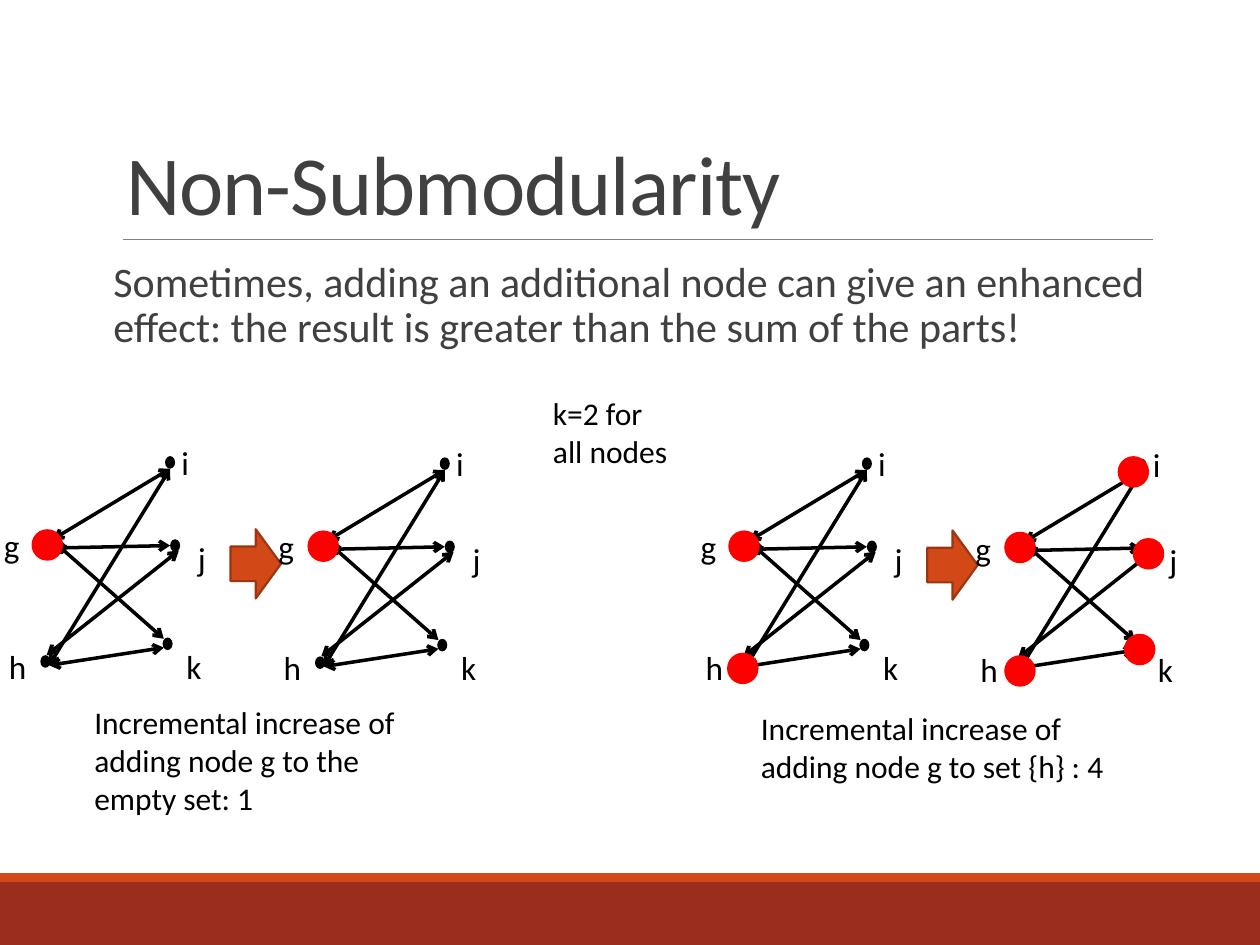
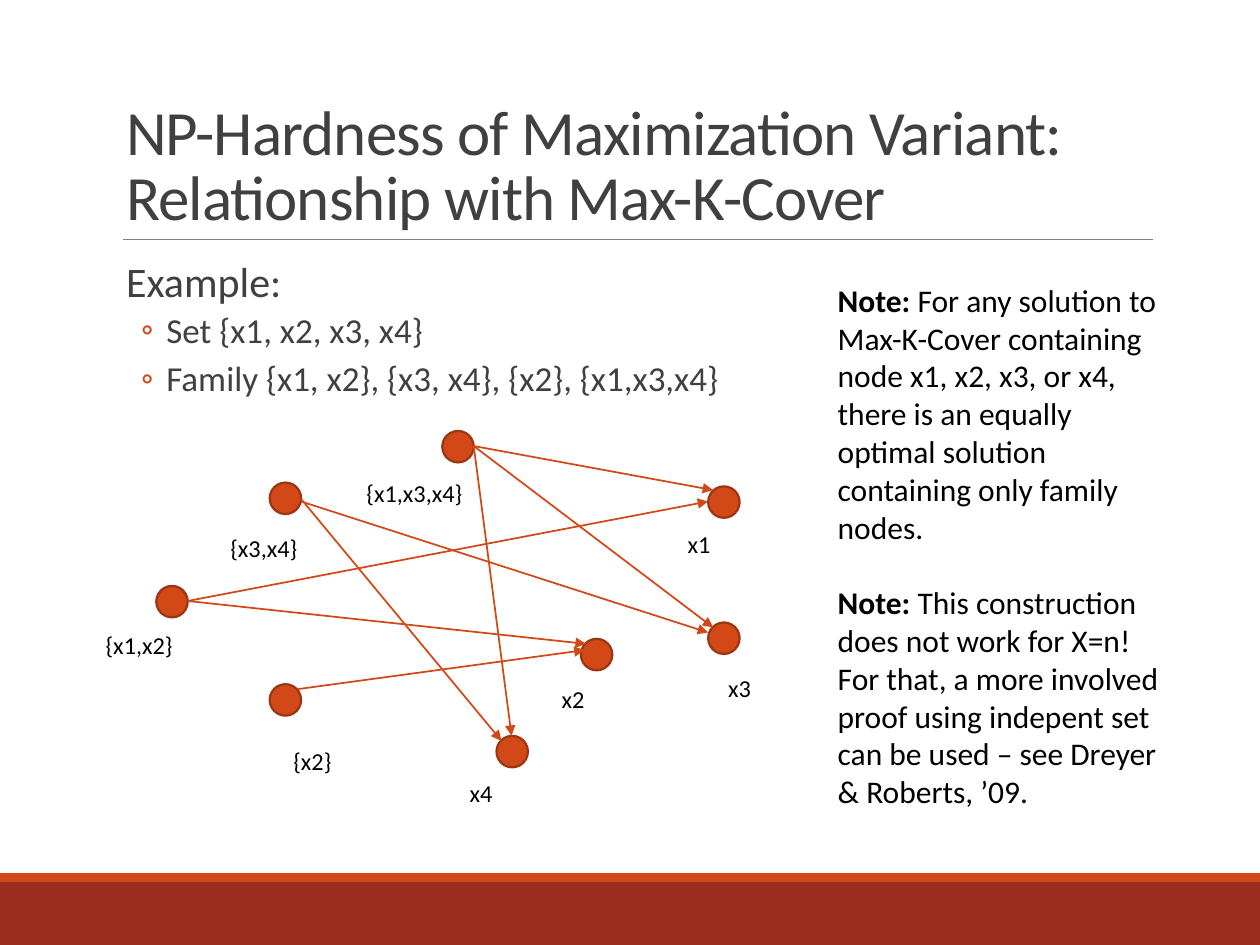
import pptx
import pptx.util
import pptx.dml.color
import pptx.enum.shapes
import pptx.enum.text
import pptx.oxml.ns
import lxml.etree

Inches = pptx.util.Inches
Pt = pptx.util.Pt
RGBColor = pptx.dml.color.RGBColor
Shape = pptx.enum.shapes.MSO_SHAPE

FONT = "Calibri"
BRICK = RGBColor(0x9B, 0x2D, 0x1F)
ORANGE = RGBColor(0xD3, 0x48, 0x17)
ORANGE_EDGE = RGBColor(0x9C, 0x35, 0x11)
GRAY = RGBColor(0x80, 0x80, 0x80)
DARK = RGBColor(0x40, 0x40, 0x40)
BLACK = RGBColor(0, 0, 0)
RED = RGBColor(0xFF, 0, 0)
NODE = 0.25

GRAPH_ORIGINS = [(0, 0), (2.18, 0.01), (5.53, 0.01), (7.71, 0.02)]
GRAPH_DOTS = [(0.35, 4.26), (1.31, 3.62), (1.35, 4.28), (0.32, 5.2), (1.29, 5.06)]
GRAPH_EDGES = [
    ((1.35, 3.72), (0.42, 4.28)),
    ((1.35, 4.33), (0.42, 4.35)),
    ((0.37, 5.2), (1.42, 4.37)),
    ((0.39, 5.28), (1.35, 3.72)),
    ((1.3, 5.07), (0.44, 4.31)),
    ((1.3, 5.14), (0.39, 5.28)),
]
GRAPH_LABELS = [
    ("g", -0.12, 4.1),
    ("h", -0.08, 5.06),
    ("j", 1.42, 4.2),
    ("i", 1.29, 3.44),
    ("k", 1.33, 5.06),
]
ACTIVE_NODES = [
    (0.25, 4.2), (2.44, 4.21), (5.78, 4.21), (7.97, 4.22), (5.77, 5.18),
    (7.97, 5.2), (8.87, 3.62), (8.99, 4.27), (8.92, 5.03),
]

COVER_NODES = [
    ("{x1,x2}", (0.74, 4.73), (1.24, 4.65)),
    ("{x3,x4}", (1.73, 3.96), (2.14, 3.83)),
    ("{x1,x3,x4}", (2.81, 3.52), (3.51, 3.42)),
    ("{x2}", (2.23, 5.65), (2.14, 5.43)),
    ("x1", (5.36, 3.93), (5.62, 3.86)),
    ("x3", (5.68, 5.07), (5.62, 4.94)),
    ("x2", (4.36, 5.16), (4.61, 5.07)),
    ("x4", (3.63, 5.9), (3.94, 5.84)),
]
COVER_EDGES = [
    ((2.39, 3.98), (5.62, 5.02)),
    ((2.39, 3.96), (3.98, 5.88)),
    ((2.36, 5.47), (4.64, 5.16)),
    ((1.49, 4.77), (4.65, 5.11)),
    ((1.49, 4.77), (5.62, 3.98)),
    ((3.76, 3.54), (5.66, 3.89)),
    ((3.76, 3.54), (5.66, 4.98)),
    ((3.76, 3.54), (4.06, 5.84)),
]


def add_element(parent, tag, **attributes):
    return lxml.etree.SubElement(parent, pptx.oxml.ns.qn(tag), **attributes)


class Deck:
    def __init__(self):
        self.presentation = pptx.Presentation()
        self.presentation.slide_width = Inches(10)
        self.presentation.slide_height = Inches(7.5)

    def new_slide(self, title, size):
        self.slide = self.presentation.slides.add_slide(self.presentation.slide_layouts[1])
        self.shapes = self.slide.shapes
        self.shape(Shape.RECTANGLE, 0, 7, 10, 0.5, BRICK)
        self.shape(Shape.RECTANGLE, 0, 6.93, 10, 0.07, ORANGE)
        self.line((0.98, 1.9), (9.15, 1.9), GRAY, 0.5)
        placeholder = self.slide.shapes.title
        self.place(placeholder, 0.9, 0.31, 8.25, 1.59)
        frame = placeholder.text_frame
        frame.text = title
        frame.vertical_anchor = pptx.enum.text.MSO_ANCHOR.BOTTOM
        paragraph = frame.paragraphs[0]
        paragraph.alignment = pptx.enum.text.PP_ALIGN.LEFT
        paragraph.line_spacing = 0.85
        self.style(paragraph, size, DARK)
        for run in paragraph.runs:
            run._r.get_or_add_rPr().set("spc", "-50")

    def place(self, placeholder, left, top, width, height):
        placeholder.left, placeholder.top = Inches(left), Inches(top)
        placeholder.width, placeholder.height = Inches(width), Inches(height)
        placeholder.text_frame.word_wrap = True
        placeholder.text_frame.auto_size = pptx.enum.text.MSO_AUTO_SIZE.NONE

    def style(self, paragraph, size, color):
        for run in paragraph.runs:
            run.font.name = FONT
            run.font.size = Pt(size)
            run.font.color.rgb = color

    def body(self, items):
        placeholder = self.slide.placeholders[1]
        self.place(placeholder, 0.9, 2.02, 8.25, 4.4)
        frame = placeholder.text_frame
        frame.margin_left = frame.margin_right = 0
        frame.text = "\n".join(text for text, *_ in items)
        for paragraph, (_, level, bullet, size) in zip(frame.paragraphs, items):
            paragraph.level = level
            margin, indent = {"": (0, 0), " ": (0.1, -0.1), "◦": (0.42, -0.2)}[bullet]
            properties = paragraph._p.get_or_add_pPr()
            properties.set("marL", str(Inches(margin)))
            properties.set("indent", str(Inches(indent)))
            if bullet:
                color = add_element(properties, "a:buClr")
                add_element(color, "a:srgbClr", val=str(ORANGE))
                add_element(properties, "a:buFont", typeface=FONT)
                add_element(properties, "a:buChar", char=bullet)
            else:
                add_element(properties, "a:buNone")
            paragraph.line_spacing = 0.9
            paragraph.space_before = Pt(2 if level else 0)
            paragraph.space_after = Pt(4 if level else 2)
            self.style(paragraph, size, DARK)

    def shape(self, kind, left, top, width, height, fill, edge=None):
        shape = self.shapes.add_shape(kind, Inches(left), Inches(top), Inches(width), Inches(height))
        shape.shadow.inherit = False
        shape.fill.solid()
        shape.fill.fore_color.rgb = fill
        if edge is None:
            shape.line.fill.background()
        else:
            shape.line.color.rgb = edge
            shape.line.width = Pt(1.25)

    def node(self, left, top, fill, edge=None):
        self.shape(Shape.OVAL, left, top, NODE, NODE, fill, edge)

    def line(self, start, end, color, width, head=None, tail=None):
        connector = self.shapes.add_connector(
            pptx.enum.shapes.MSO_CONNECTOR.STRAIGHT, *map(Inches, start + end))
        connector.line.color.rgb = color
        connector.line.width = Pt(width)
        outline = connector.line._get_or_add_ln()
        if head:
            add_element(outline, "a:headEnd", type=head)
        if tail:
            add_element(outline, "a:tailEnd", type=tail)
        add_element(connector._element.spPr, "a:effectLst")

    def text(self, text, left, top, width, height, size=18):
        box = self.shapes.add_textbox(Inches(left), Inches(top), Inches(width), Inches(height))
        frame = box.text_frame
        frame.word_wrap = True
        frame.auto_size = pptx.enum.text.MSO_AUTO_SIZE.SHAPE_TO_FIT_TEXT
        frame.text = text
        for paragraph in frame.paragraphs:
            self.style(paragraph, size, BLACK)
        return frame

    def node_label(self, text, left, top):
        width = 0.55 if text == "x2" else 1.67
        frame = self.text(text, left, top, width, 0.37, 24)
        frame.paragraphs[0].runs[0]._r.get_or_add_rPr().set("baseline", "-25000")

    def graph(self, x, y):
        self.shapes = self.slide.shapes.add_group_shape().shapes
        for left, top in GRAPH_DOTS:
            self.shape(Shape.OVAL, x + left, y + top, 0.08, 0.1, BLACK)
        for start, end in GRAPH_EDGES:
            self.line((x + start[0], y + start[1]), (x + end[0], y + end[1]),
                      BLACK, 2, "arrow", "arrow")
        for letter, left, top in GRAPH_LABELS:
            frame = self.text(letter, x + left, y + top, 0.49, 0.37, 19)
            frame.margin_left = Inches(0.15)
            frame.margin_right = 0
            frame.margin_top = frame.margin_bottom = Inches(0.07)
        self.shapes = self.slide.shapes

    def note(self, paragraphs):
        frame = self.text("\n".join(paragraphs), 6.55, 2.18, 2.82, 4.64)
        for paragraph in frame.paragraphs:
            lead, mark, rest = paragraph.text.partition("Note: ")
            if mark:
                paragraph.text = mark
                paragraph.add_run().text = rest
                paragraph.runs[0].font.bold = True
                self.style(paragraph, 18, BLACK)
        frame.paragraphs[1].space_before = Pt(21.6)


def build_non_submodularity(deck):
    deck.new_slide("Non-Submodularity", 48)
    deck.body([("Sometimes, adding an additional node can give an enhanced effect: "
                "the result is greater than the sum of the parts!", 0, "", 24)])
    for index, (x, y) in enumerate(GRAPH_ORIGINS):
        deck.graph(x, y)
        if index % 2 == 0:
            deck.shape(Shape.RIGHT_ARROW, x + 1.83, y + 4.2, 0.4, 0.55, ORANGE, ORANGE_EDGE)
    for left, top in ACTIVE_NODES:
        deck.node(left, top, RED)
    deck.text("Incremental increase of adding node g to the empty set: 1", 0.65, 5.53, 2.68, 1.01)
    deck.text("Incremental increase of adding node g to set {h} : 4", 5.94, 5.58, 2.98, 0.71)
    deck.text("k=2 for all nodes", 4.29, 3.08, 1.16, 0.71)


def build_max_k_cover(deck):
    deck.new_slide("NP-Hardness of Maximization Variant:\vRelationship with Max-K-Cover", 36)
    deck.body([
        ("Example:", 0, " ", 24),
        ("Set {x1, x2, x3, x4}", 1, "◦", 20),
        ("Family {x1, x2}, {x3, x4}, {x2}, {x1,x3,x4}", 1, "◦", 20),
    ])
    for text, label_corner, node_corner in COVER_NODES:
        deck.node_label(text, *label_corner)
        deck.node(*node_corner, ORANGE, ORANGE_EDGE)
    for start, end in COVER_EDGES:
        deck.line(start, end, ORANGE, 1, tail="triangle")
    deck.note([
        "Note: For any solution to Max-K-Cover containing node x1, x2, x3, or x4, "
        "there is an equally optimal solution containing only family nodes.",
        "Note: This construction",
        "does not work for X=n! For that, a more involved proof using indepent set "
        "can be used – see Dreyer & Roberts, ’09.",
    ])


def main():
    deck = Deck()
    build_non_submodularity(deck)
    build_max_k_cover(deck)
    deck.presentation.save("out.pptx")


if __name__ == "__main__":
    main()
